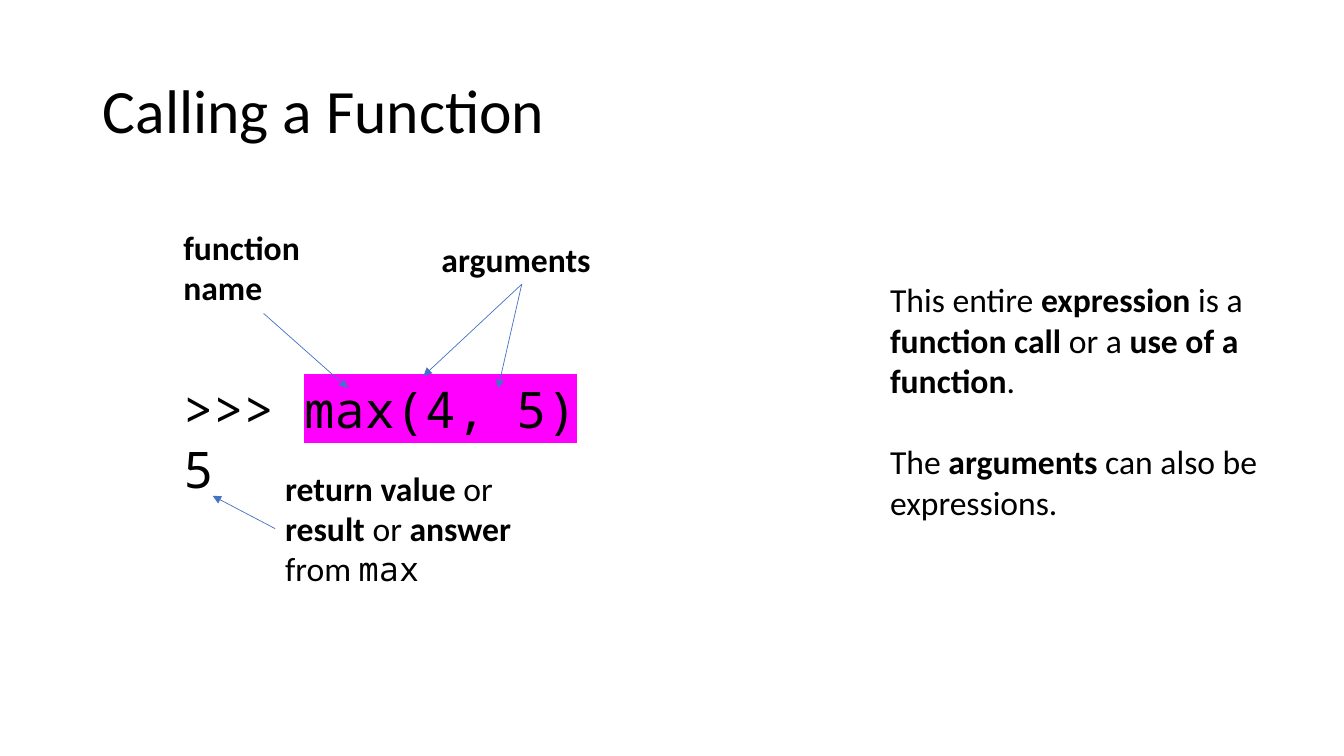
"""Build the slide that names the parts of a Python function call."""

import dataclasses
import typing

import lxml.etree
import pptx
import pptx.dml.color
import pptx.enum.shapes
import pptx.enum.text
import pptx.oxml.ns
import pptx.util

Inches = pptx.util.Inches
Pt = pptx.util.Pt
RGB = pptx.dml.color.RGBColor


@dataclasses.dataclass(frozen=True)
class Theme:
    """Colours, fonts and sizes of the slide."""

    text: RGB = RGB(0x00, 0x00, 0x00)
    arrow: RGB = RGB(0x44, 0x72, 0xC4)
    highlight: str = "FF00FF"
    prose: str = "Calibri"
    mono: str = "Noto Sans Mono"
    title_size: int = 44
    code_size: int = 36
    label_size: int = 24
    paragraph_gap: float = 29.3
    arrow_width: float = 0.5


THEME = Theme()


class Span(typing.NamedTuple):
    """A stretch of text in one format."""

    text: str
    bold: bool = False
    font: str = THEME.prose
    highlighted: bool = False


@dataclasses.dataclass(frozen=True)
class Note:
    """A text box with its place in inches and its paragraphs."""

    left: float
    top: float
    width: float
    height: float
    paragraphs: list[list[Span]]
    size: int = THEME.label_size
    gap: float = 0


class Arrow(typing.NamedTuple):
    """An arrow from a side of a note to a point in inches."""

    note: str
    side: int
    tip_x: float
    tip_y: float


BOTTOM, LEFT = 2, 1

NOTES = {
    "code": Note(1.72, 3.7, 4.91, 1.31, [
        [Span(">>> ", font=THEME.mono),
         Span("max(4, 5)", font=THEME.mono, highlighted=True)],
        [Span("5", font=THEME.mono)],
    ], size=THEME.code_size),
    "arguments": Note(4.28, 2.32, 1.79, 0.5, [[Span("arguments", True)]]),
    "function name": Note(1.72, 2.2, 1.79, 0.91, [[Span("function name", True)]]),
    "return value": Note(2.73, 4.59, 2.63, 1.31, [[
        Span("return value", True), Span(" or "), Span("result", True),
        Span(" or "), Span("answer", True), Span(" from "),
        Span("max", font=THEME.mono),
    ]]),
    "explanation": Note(8.73, 2.72, 4.02, 2.52, [
        [Span("This entire "), Span("expression", True), Span(" is a "),
         Span("function call ", True), Span("or a"),
         Span(" use of a function", True), Span(".")],
        [Span("The "), Span("arguments", True), Span(" can also be expressions.")],
    ], gap=THEME.paragraph_gap),
}

ARROWS = [
    Arrow("arguments", BOTTOM, 4.2, 3.73),
    Arrow("arguments", BOTTOM, 4.94, 3.85),
    Arrow("function name", BOTTOM, 3.45, 3.85),
    Arrow("return value", LEFT, 2.11, 4.92),
]


def add_span(paragraph, span: Span, size: int) -> None:
    """Append one formatted run to a paragraph."""
    run = paragraph.add_run()
    run.text = span.text
    run.font.size = Pt(size)
    run.font.bold = span.bold
    run.font.name = span.font
    run.font.color.rgb = THEME.text
    if span.highlighted:
        qn = pptx.oxml.ns.qn
        highlight = lxml.etree.Element(qn("a:highlight"))
        lxml.etree.SubElement(highlight, qn("a:srgbClr"), val=THEME.highlight)
        run.font._element.find(qn("a:solidFill")).addnext(highlight)


def add_title(slide, text: str) -> None:
    """Place and format the title placeholder."""
    title = slide.shapes.title
    title.left, title.top = Inches(0.92), Inches(0.4)
    title.width, title.height = Inches(11.5), Inches(1.45)
    frame = title.text_frame
    frame.auto_size = pptx.enum.text.MSO_AUTO_SIZE.NONE
    frame.vertical_anchor = pptx.enum.text.MSO_ANCHOR.MIDDLE
    heading = frame.paragraphs[0]
    heading.alignment = pptx.enum.text.PP_ALIGN.LEFT
    heading.line_spacing = 0.9
    add_span(heading, Span(text), THEME.title_size)


def add_note(slide, note: Note):
    """Draw a note and return its shape."""
    box = slide.shapes.add_textbox(
        Inches(note.left), Inches(note.top), Inches(note.width), Inches(note.height))
    frame = box.text_frame
    frame.word_wrap = True
    frame.auto_size = pptx.enum.text.MSO_AUTO_SIZE.SHAPE_TO_FIT_TEXT
    for index, spans in enumerate(note.paragraphs):
        paragraph = frame.add_paragraph() if index else frame.paragraphs[0]
        if index and note.gap:
            paragraph.space_before = Pt(note.gap)
        for span in spans:
            add_span(paragraph, span, note.size)
    return box


def add_arrow(slide, arrow: Arrow, source) -> None:
    """Draw an arrow joined to its source note."""
    tip = Inches(arrow.tip_x), Inches(arrow.tip_y)
    connector = slide.shapes.add_connector(
        pptx.enum.shapes.MSO_CONNECTOR.STRAIGHT, source.left, source.top, *tip)
    connector.begin_connect(source, arrow.side)
    connector.line.color.rgb = THEME.arrow
    connector.line.width = Pt(THEME.arrow_width)
    qn = pptx.oxml.ns.qn
    lxml.etree.SubElement(connector.line._get_or_add_ln(), qn("a:tailEnd"), type="triangle")
    lxml.etree.SubElement(connector._element.spPr, qn("a:effectLst"))


def main() -> None:
    """Build and save the presentation."""
    deck = pptx.Presentation()
    deck.slide_width, deck.slide_height = Inches(13.33), Inches(7.5)
    slide = deck.slides.add_slide(deck.slide_layouts.get_by_name("Title Only"))
    add_title(slide, "Calling a Function")
    boxes = {name: add_note(slide, note) for name, note in NOTES.items()}
    for arrow in ARROWS:
        add_arrow(slide, arrow, boxes[arrow.note])
    deck.save("out.pptx")


if __name__ == "__main__":
    main()
